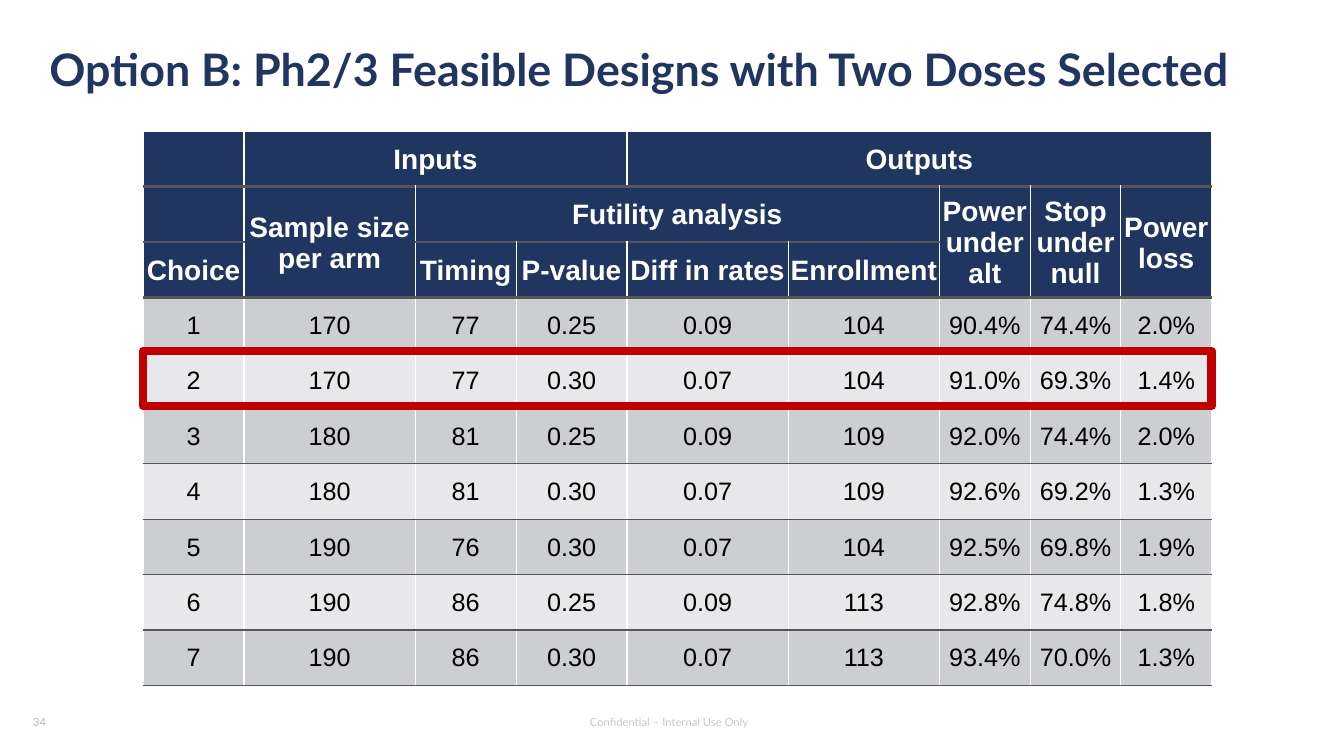
import pptx
import pptx.util
import pptx.dml.color
import pptx.enum.shapes
import pptx.enum.text
import pptx.oxml
import pptx.oxml.ns

Pt = pptx.util.Pt
RGBColor = pptx.dml.color.RGBColor
PP_ALIGN = pptx.enum.text.PP_ALIGN
MSO_ANCHOR = pptx.enum.text.MSO_ANCHOR

NAVY = RGBColor(0x20, 0x36, 0x61)
WHITE = RGBColor(0xFF, 0xFF, 0xFF)
BLACK = RGBColor(0, 0, 0)
RULE = RGBColor(0x54, 0x56, 0x5B)
BAND_DARK = RGBColor(0xCD, 0xCE, 0xD2)
BAND_LIGHT = RGBColor(0xE8, 0xE8, 0xEA)
RED = RGBColor(0xC0, 0, 0)
FOOTER_GREY = RGBColor(0xC6, 0xCA, 0xC6)
NUMBER_GREY = RGBColor(0xB9, 0xBB, 0xBF)

TITLE = "Option B: Ph2/3 Feasible Designs with Two Doses Selected"
FOOTER = "Confidential –\u00a0Internal Use Only"
PAGE = "34"
HEADERS = [
    ["", "Inputs", "", "", "Outputs", "", "", "", ""],
    ["", "Sample size per arm", "Futility analysis", "", "", "",
     "Power under alt", "Stop under null", "Power loss"],
    ["Choice", "", "Timing", "P-value", "Diff in rates", "Enrollment", "", "", ""],
]
MERGES = [
    ((0, 1), (0, 3)), ((0, 4), (0, 8)), ((1, 1), (2, 1)), ((1, 2), (1, 5)),
    ((1, 6), (2, 6)), ((1, 7), (2, 7)), ((1, 8), (2, 8)),
]
DESIGNS = [
    ["1", "170", "77", "0.25", "0.09", "104", "90.4%", "74.4%", "2.0%"],
    ["2", "170", "77", "0.30", "0.07", "104", "91.0%", "69.3%", "1.4%"],
    ["3", "180", "81", "0.25", "0.09", "109", "92.0%", "74.4%", "2.0%"],
    ["4", "180", "81", "0.30", "0.07", "109", "92.6%", "69.2%", "1.3%"],
    ["5", "190", "76", "0.30", "0.07", "104", "92.5%", "69.8%", "1.9%"],
    ["6", "190", "86", "0.25", "0.09", "113", "92.8%", "74.8%", "1.8%"],
    ["7", "190", "86", "0.30", "0.07", "113", "93.4%", "70.0%", "1.3%"],
]
COL_WIDTHS = [72, 122.4, 72, 79.2, 115.2, 108, 64.8, 64.8, 64.8]
ROW_HEIGHT = 39.6
LEFT, TOP = 102.24, 93.6
SELECTED_ROW = 4


def style(p, size, color, bold=False, font="Lato", align=PP_ALIGN.LEFT):
    p.alignment = align
    for r in p.runs:
        r.font.name = font
        r.font.size = Pt(size)
        r.font.bold = bold
        r.font.color.rgb = color


def add_text(s, box, text, size, color, inset=(7.2, 3.6),
             anchor=MSO_ANCHOR.MIDDLE, **kw):
    tf = s.shapes.add_textbox(*map(Pt, box)).text_frame
    tf.word_wrap = True
    tf.vertical_anchor = anchor
    tf.margin_left = tf.margin_right = Pt(inset[0])
    tf.margin_top = tf.margin_bottom = Pt(inset[1])
    tf.text = text
    style(tf.paragraphs[0], size, color, **kw)
    return tf


def add_border(cell, side, color, width):
    cell._tc.get_or_add_tcPr().append(pptx.oxml.parse_xml(
        f'<a:ln{side} {pptx.oxml.ns.nsdecls("a")} w="{Pt(width)}">'
        f'<a:solidFill><a:srgbClr val="{color}"/></a:solidFill></a:ln{side}>'))


def format_cell(cell, row, text):
    header = row < len(HEADERS)
    heavy = len(HEADERS)
    add_border(cell, "L", WHITE, 1)
    add_border(cell, "R", WHITE, 1)
    add_border(cell, "T", RULE if row else WHITE, 2.25 if 0 < row <= heavy else 1)
    add_border(cell, "B", RULE, 2.25 if header else 1)
    band = BAND_DARK if (row - heavy) % 2 == 0 else BAND_LIGHT
    cell.fill.solid()
    cell.fill.fore_color.rgb = NAVY if header else band
    cell.vertical_anchor = MSO_ANCHOR.MIDDLE
    cell.margin_left = cell.margin_right = cell.margin_top = Pt(1.44 if header else 0.72)
    cell.margin_bottom = 0
    if text:
        cell.text = text
        style(cell.text_frame.paragraphs[0], 20 if header else 18,
              WHITE if header else BLACK, header, "Arial", PP_ALIGN.CENTER)


def add_designs_table(s):
    rows = HEADERS + DESIGNS
    table = s.shapes.add_table(
        len(rows), len(COL_WIDTHS), Pt(LEFT), Pt(TOP),
        Pt(sum(COL_WIDTHS)), Pt(ROW_HEIGHT * len(rows))).table
    for col, width in zip(table.columns, COL_WIDTHS):
        col.width = Pt(width)
    for i, texts in enumerate(rows):
        table.rows[i].height = Pt(ROW_HEIGHT)
        for j, text in enumerate(texts):
            format_cell(table.cell(i, j), i, text)
    for first, last in MERGES:
        table.cell(*first).merge(table.cell(*last))


def add_highlight(s):
    sp = s.shapes.add_shape(
        pptx.enum.shapes.MSO_SHAPE.RECTANGLE, Pt(LEFT),
        Pt(TOP + SELECTED_ROW * ROW_HEIGHT - 1.44), Pt(sum(COL_WIDTHS)), Pt(ROW_HEIGHT))
    sp.shadow.inherit = False
    sp.fill.background()
    sp.line.color.rgb = RED
    sp.line.width = Pt(6)


def main():
    prs = pptx.Presentation()
    prs.slide_width, prs.slide_height = Pt(960), Pt(540)
    s = prs.slides.add_slide(prs.slide_layouts[6])
    add_text(s, (370, 504, 216, 23), FOOTER, 8, FOOTER_GREY, align=PP_ALIGN.CENTER)
    add_text(s, (16.56, 504, 216, 23), PAGE, 8, NUMBER_GREY)
    tf = add_text(s, (35.28, 33.84, 887, 38.16), TITLE, 32, NAVY, inset=(0, 0),
                  anchor=MSO_ANCHOR.TOP, bold=True)
    tf.paragraphs[0].line_spacing = 0.9
    add_designs_table(s)
    add_highlight(s)
    prs.save("out.pptx")


if __name__ == "__main__":
    main()
